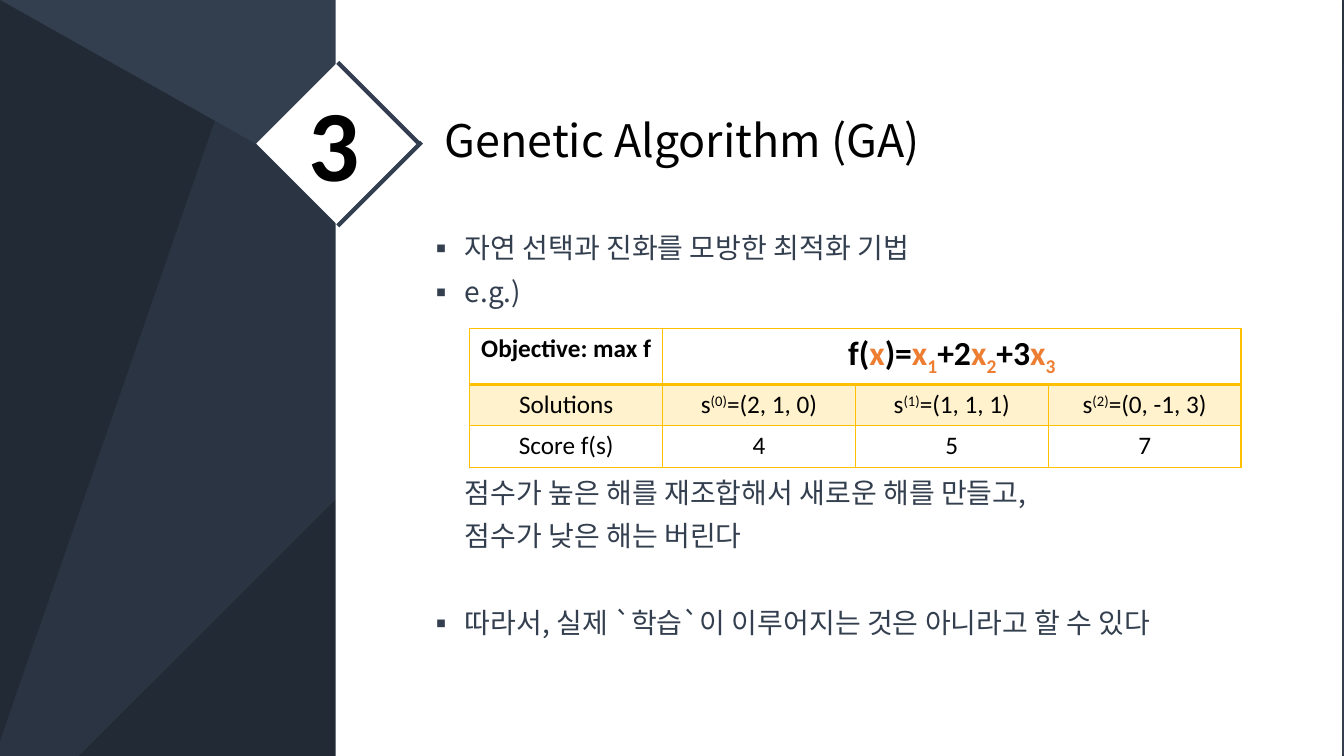
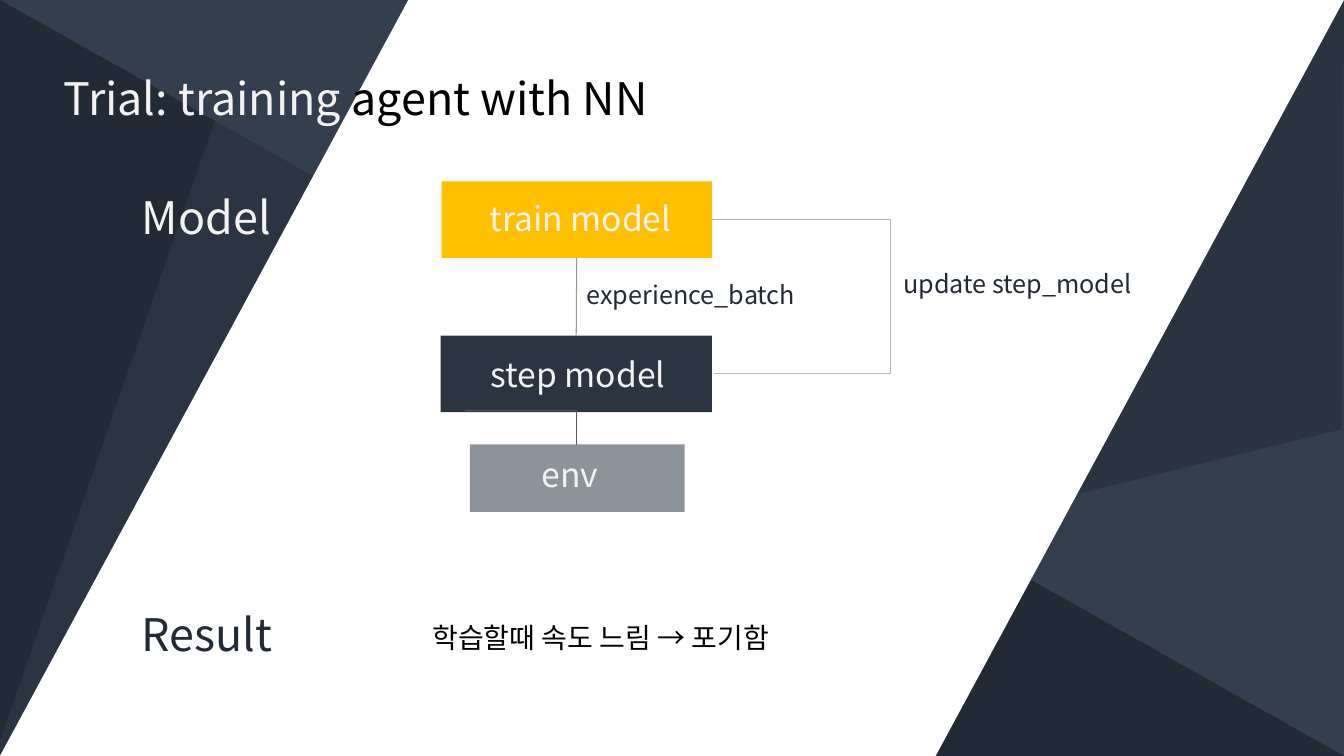
"""Build two slides about a genetic algorithm and a training trial."""
import pptx
import pptx.dml.color
import pptx.enum.shapes
import pptx.enum.text
import pptx.oxml
import pptx.oxml.ns
import pptx.util
import lxml.etree

Inches = pptx.util.Inches
Pt = pptx.util.Pt
SHAPE = pptx.enum.shapes.MSO_SHAPE
CONNECTOR = pptx.enum.shapes.MSO_CONNECTOR
ANCHOR = pptx.enum.text.MSO_ANCHOR
ALIGN = pptx.enum.text.PP_ALIGN
qn = pptx.oxml.ns.qn
rgb = pptx.dml.color.RGBColor.from_string

SANS, LATIN = "Noto Sans CJK SC", "Calibri"
BLACK, WHITE, PALE = "000000", "FFFFFF", "F2F2F2"
NIGHT, SLATE, STEEL = "222A35", "333F4F", "333F50"
GOLD, CREAM, ORANGE = "FFC000", "FFF2CC", "ED7D31"
TITLE_SIZE = 32


def add_run(paragraph, text, size, color, font=SANS, bold=False, baseline=0):
    """Append one formatted run to a paragraph."""
    run = paragraph.add_run()
    run.text = text
    run.font.size = Pt(size)
    run.font.bold = bold
    run.font.color.rgb = rgb(color)
    run.font.name = font
    properties = run.font._element
    lxml.etree.SubElement(properties, qn("a:ea"), typeface=font)
    if baseline:
        properties.set("baseline", str(baseline * 1000))


def add_block(slide, preset, box, color, rotation=0, adjust=None, alpha=100):
    """Add a borderless filled shape."""
    block = slide.shapes.add_shape(preset, *map(Inches, box))
    block.shadow.inherit = False
    block.fill.solid()
    block.fill.fore_color.rgb = rgb(color)
    block.line.fill.background()
    block.rotation = rotation
    if adjust is not None:
        block.adjustments[0] = adjust
    if alpha < 100:
        tint = block.element.spPr.find(".//" + qn("a:srgbClr"))
        lxml.etree.SubElement(tint, qn("a:alpha"), val=str(alpha * 1000))
    return block


deck = pptx.Presentation()
deck.slide_width = Inches(13.33)
deck.slide_height = Inches(7.5)
layout = deck.slide_layouts[5]
layout.background.fill.solid()
layout.background.fill.fore_color.rgb = rgb(SLATE)
genetic = deck.slides.add_slide(layout)
trial = deck.slides.add_slide(layout)

facets = [
    (SHAPE.ISOSCELES_TRIANGLE, (0, 0, 13.33, 7.5), NIGHT, 0, 0, 100),
    (SHAPE.PARALLELOGRAM, (-0.71, 1.69, 14.74, 4.13), NIGHT, 346.3, 0.25, 50),
    (SHAPE.ISOSCELES_TRIANGLE, (1.18, -1.16, 5.41, 11.12), STEEL, 199.1, 1, 50),
]
for depth, facet in enumerate(facets):
    layout.shapes.element.insert(2 + depth, add_block(genetic, *facet).element)

add_block(genetic, SHAPE.RECTANGLE, (3.33, 0, 9.98, 7.5), WHITE)
add_block(genetic, SHAPE.RECTANGLE, (2.78, 0.85, 1.15, 1.15), WHITE, 45)
add_block(trial, SHAPE.PARALLELOGRAM, (0, 0, 13.33, 7.5), WHITE, 0, 0.54)

headings = [
    (genetic, (4.31, 1.07), [("Genetic Algorithm (GA)", BLACK)]),
    (trial, (0.53, 0.65), [("Trial: training ", PALE), ("agent with NN", BLACK)]),
]
for slide, (left, top), parts in headings:
    title = slide.shapes.title
    slide.shapes.element.append(title.element)
    title.left, title.top = Inches(left), Inches(top)
    title.width, title.height = Inches(6.37), Inches(0.63)
    title.text_frame.auto_size = pptx.enum.text.MSO_AUTO_SIZE.NONE
    title.text_frame.vertical_anchor = ANCHOR.MIDDLE
    heading = title.text_frame.paragraphs[0]
    heading.alignment = ALIGN.LEFT
    for text, color in parts:
        add_run(heading, text, TITLE_SIZE, color)

labels = [
    (genetic, (2.96, 0.75, 0.75, 1.3), "3", 72, BLACK, LATIN, True),
    (trial, (1.31, 1.83, 2.13, 0.63), "Model", TITLE_SIZE, PALE, SANS, False),
    (trial, (1.31, 5.97, 2.13, 0.63), "Result", TITLE_SIZE, NIGHT, SANS, False),
    (trial, (4.19, 6.06, 4.48, 0.53), "학습할때 속도 느림 → 포기함", 20, BLACK, SANS, False),
    (trial, (5.72, 2.65, 2.47, 0.55), "experience_batch", 18, NIGHT, SANS, False),
    (trial, (8.86, 2.55, 2.69, 0.53), "update step_model", 18, NIGHT, SANS, False),
]
for slide, box, text, size, color, font, bold in labels:
    label = slide.shapes.add_textbox(*map(Inches, box)).text_frame
    label.word_wrap = True
    label.vertical_anchor = ANCHOR.MIDDLE
    add_run(label.paragraphs[0], text, size, color, font, bold)

explanation = genetic.shapes.add_textbox(
    Inches(4.16), Inches(2.15), Inches(8.96), Inches(4.41)).text_frame
explanation.word_wrap = True
explanation.margin_left = explanation.margin_right = Inches(0.07)
explanation.margin_top = explanation.margin_bottom = Inches(0.04)
points = [
    ("자연 선택과 진화를 모방한 최적화 기법", True, 0),
    ("e.g.)", True, 0),
    ("점수가 높은 해를 재조합해서 새로운 해를 만들고,", False, 112),
    ("점수가 낮은 해는 버린다", False, 0),
    ("따라서, 실제 `학습`이 이루어지는 것은 아니라고 할 수 있다", True, 31),
]
for index, (text, bulleted, gap) in enumerate(points):
    point = explanation.add_paragraph() if index else explanation.paragraphs[0]
    point.line_spacing = 1.3
    if gap:
        point.space_before = Pt(gap)
    settings = point._p.get_or_add_pPr()
    settings.set("marL", str(Inches(0.38)))
    settings.set("indent", str(Inches(-0.37) if bulleted else 0))
    if bulleted:
        tint = lxml.etree.SubElement(settings, qn("a:buClr"))
        lxml.etree.SubElement(tint, qn("a:srgbClr"), val=SLATE)
        lxml.etree.SubElement(settings, qn("a:buFont"), typeface=SANS)
        lxml.etree.SubElement(settings, qn("a:buChar"), char="▪")
    else:
        lxml.etree.SubElement(settings, qn("a:buNone"))
    add_run(point, text, 20, SLATE)

formula = [("f(", BLACK, 0), ("x", ORANGE, 0), (")=", BLACK, 0)]
for number, joint in enumerate(["", "+2", "+3"], 1):
    if joint:
        formula.append((joint, BLACK, 0))
    formula += [("x", ORANGE, 0), (str(number), ORANGE, -25)]
solutions = [[("Solutions", BLACK, 0)]]
for number, values in enumerate(["(2, 1, 0)", "(1, 1, 1)", "(0, -1, 3)"]):
    solutions.append([("s", BLACK, 0), (f"({number})", BLACK, 30), ("=" + values, BLACK, 0)])
scores = [[(text, BLACK, 0)] for text in ["Score f(s)", "4", "5", "7"]]
rows = [[[("Objective: max f", BLACK, 0)], formula, [], []], solutions, scores]

example = genetic.shapes.add_table(
    3, 4, Inches(4.66), Inches(3.26), Inches(7.65), Inches(1.37)).table
example.first_row = example.horz_banding = False
for row, height in zip(example.rows, [0.55, 0.41, 0.41]):
    row.height = Inches(height)
example.cell(0, 1).merge(example.cell(0, 3))
for r, row in enumerate(rows):
    for c, parts in enumerate(row):
        cell = example.cell(r, c)
        if r == 1:
            cell.fill.solid()
            cell.fill.fore_color.rgb = rgb(CREAM)
        else:
            cell.fill.background()
        for position, side in enumerate(["lnL", "lnR", "lnT", "lnB"]):
            heavy = (r, side) in [(0, "lnB"), (1, "lnT")]
            border = lxml.etree.Element(qn("a:" + side), w=str(Pt(1.98 if heavy else 0.96)))
            paint = lxml.etree.SubElement(border, qn("a:solidFill"))
            lxml.etree.SubElement(paint, qn("a:srgbClr"), val=GOLD)
            cell._tc.get_or_add_tcPr().insert(position, border)
        entry = cell.text_frame.paragraphs[0]
        entry.alignment = ALIGN.CENTER
        for text, color, baseline in parts:
            add_run(entry, text, 24 if parts is formula else 18, color, LATIN, r == 0, baseline)

stages = []
for box, color, text, margins in [
    ((4.38, 1.8, 2.68, 0.76), GOLD, "train model", (0.17, 0.05, 0.1, 0.08)),
    ((4.37, 3.33, 2.69, 0.76), "2B3542", "step model", (0.13, 0.06, 0.1, 0.05)),
    ((4.66, 4.41, 2.13, 0.67), "8D939B", "env", (0.1, 0.05, 0.24, 0.14)),
]:
    stage = add_block(trial, SHAPE.RECTANGLE, box, color)
    frame = stage.text_frame
    frame.margin_left, frame.margin_top, frame.margin_right, frame.margin_bottom = map(Inches, margins)
    frame.vertical_anchor = ANCHOR.MIDDLE
    frame.paragraphs[0].alignment = ALIGN.CENTER
    add_run(frame.paragraphs[0], text, 24, PALE)
    stages.append(stage)
train, step, env = stages

links = [
    (genetic, CONNECTOR.STRAIGHT, (3.35, 0.62, 4.16, 1.43), STEEL, 3),
    (genetic, CONNECTOR.STRAIGHT, (4.18, 1.41, 3.35, 2.24), STEEL, 3),
    (trial, CONNECTOR.STRAIGHT, (5.72, 3.33, 5.72, 2.56), "999999", 0.75),
    (trial, CONNECTOR.ELBOW, (7.06, 2.18, 7.08, 3.71), "B7B7B7", 0.75),
    (trial, CONNECTOR.ELBOW, (4.61, 4.07, 5.72, 4.41), "595959", 0.75),
]
drawn = []
for slide, kind, ends, color, weight in links:
    link = slide.shapes.add_connector(kind, *map(Inches, ends))
    link.line.color.rgb = rgb(color)
    link.line.width = Pt(weight)
    lxml.etree.SubElement(link.element.spPr, qn("a:effectLst"))
    drawn.append(link)
batch_link, update_link, env_link = drawn[2:]
batch_link.begin_connect(step, 0)
batch_link.end_connect(train, 2)
reach = round((8.83 - 7.06) / 0.02 * 100000)
bends = update_link.element.spPr.find(".//" + qn("a:avLst"))
lxml.etree.SubElement(bends, qn("a:gd"), name="adj1", fmla=f"val {reach}")
env_link.element.spPr.find(qn("a:prstGeom")).set("prst", "bentConnector2")

deck.save("out.pptx")
